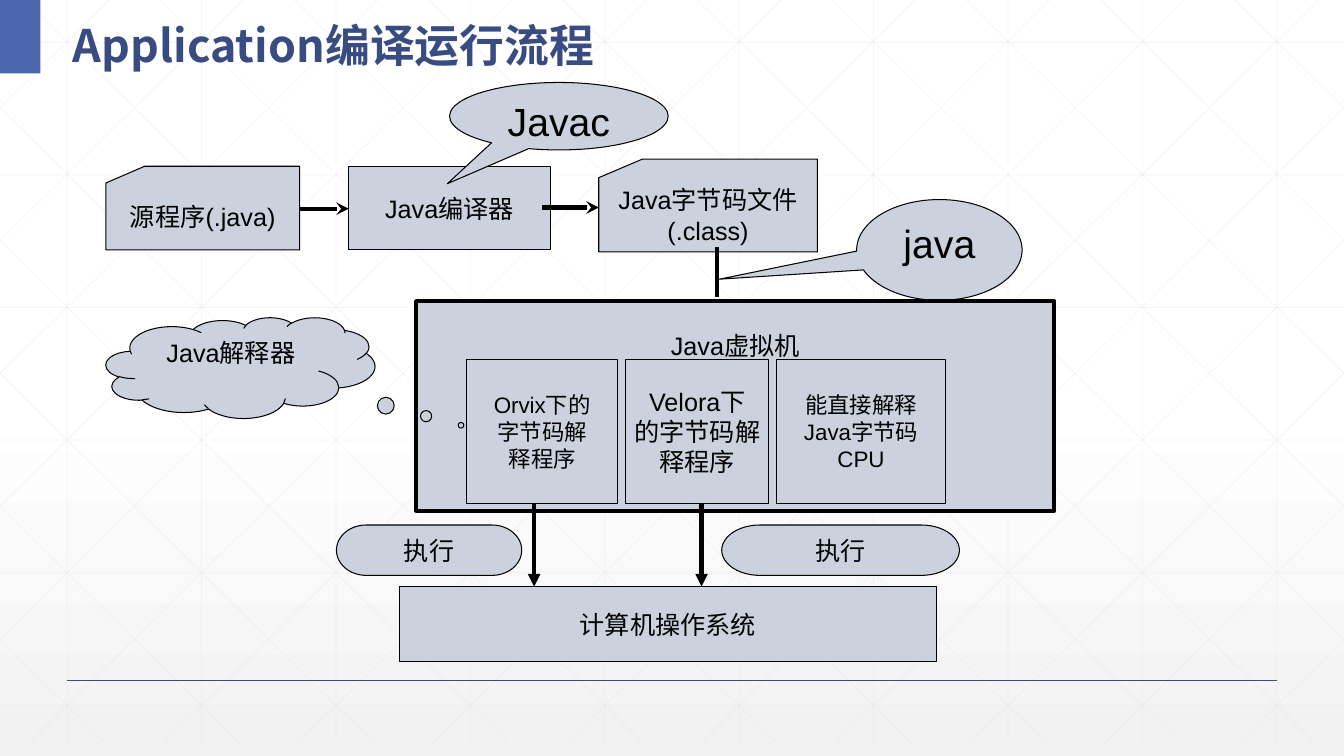
from lxml import etree
from pptx import Presentation
from pptx.dml.color import RGBColor
from pptx.enum.shapes import MSO_CONNECTOR, MSO_SHAPE
from pptx.enum.text import MSO_ANCHOR, PP_ALIGN
from pptx.oxml.ns import qn
from pptx.util import Cm, Pt

STRAIGHT = MSO_CONNECTOR.STRAIGHT
RECT = MSO_SHAPE.RECTANGLE
CARD = MSO_SHAPE.FLOWCHART_CARD
TERMINATOR = MSO_SHAPE.FLOWCHART_TERMINATOR
SPEECH = MSO_SHAPE.OVAL_CALLOUT
CLOUD = MSO_SHAPE.CLOUD_CALLOUT
TOP, MIDDLE = MSO_ANCHOR.TOP, MSO_ANCHOR.MIDDLE
LEFT, CENTER = PP_ALIGN.LEFT, PP_ALIGN.CENTER

WIDTH, HEIGHT = 33.87, 19.05
INK, PANEL, NAVY, ACCENT, GRID = "000000", "CCD2DD", "384C81", "4A66AC", "D9D9D9"
CJK = "Noto Sans CJK SC"


def rgb(value):
    return RGBColor.from_string(value)


def write(tf, text, size, color=INK, font="Arial", bold=False, align=CENTER):
    tf.text = text
    for p in tf.paragraphs:
        p.alignment = align
        for r in p.runs:
            r.font.size, r.font.bold, r.font.name = Pt(size), bold, font
            r.font.color.rgb = rgb(color)
            etree.SubElement(r.font._element, qn("a:ea"), typeface=CJK)


def add_node(s, kind, x, y, w, h, text, size=18, line=0.75, anchor=MIDDLE, wrap=False):
    """Add an outlined flowchart shape with centred text."""
    sp = s.shapes.add_shape(kind, Cm(x), Cm(y), Cm(w), Cm(h))
    sp.shadow.inherit = False
    sp.fill.solid()
    sp.fill.fore_color.rgb = rgb(PANEL)
    sp.line.color.rgb = rgb(INK)
    sp.line.width = Pt(line)
    tf = sp.text_frame
    tf.word_wrap = wrap
    tf.vertical_anchor = anchor
    write(tf, text, size)
    return sp


def add_callout(s, kind, x, y, w, h, text, size, pointer):
    sp = add_node(s, kind, x, y, w, h, text, size, anchor=TOP, wrap=True)
    for i, value in enumerate(pointer):
        sp.adjustments[i] = value


def add_line(s, x1, y1, x2, y2, color=INK, width=3, head=None, alpha=None):
    c = s.shapes.add_connector(STRAIGHT, Cm(x1), Cm(y1), Cm(x2), Cm(y2))
    c.line.color.rgb = rgb(color)
    c.line.width = Pt(width)
    sppr = c._element.spPr
    if alpha:
        etree.SubElement(next(sppr.iter(qn("a:srgbClr"))), qn("a:alpha"), val=str(alpha * 1000))
    if head:
        etree.SubElement(sppr.find(qn("a:ln")), qn("a:tailEnd"), type=head)
    etree.SubElement(sppr, qn("a:effectLst"))


def draw_backdrop(s, w, h):
    """Fill the background and lay a faint square and diagonal grid over it."""
    fill = s.background.fill
    fill.gradient()
    fill.gradient_angle = 270
    for stop, position, color in zip(fill.gradient_stops, (0.53, 1), ("FFFFFF", "F2F2F2")):
        stop.position = position
        stop.color.rgb = rgb(color)

    step, run = w / 10, 18.94
    lines = [((i + 0.5) * step, 0, (i + 0.5) * step, h) for i in range(10)]
    lines += [(0, 1.07 + 3.34 * i, w, 1.07 + 3.34 * i) for i in range(6)]
    slope = h / run
    for i in range(-5, 10):
        start = 0.64 + i * step
        x1, x2 = max(start, 0), min(start + run, w)
        y1, y2 = (x1 - start) * slope, (x2 - start) * slope
        lines += [(x1, y1, x2, y2), (w - x1, y1, w - x2, y2)]
    for ends in lines:
        add_line(s, *ends, color=GRID, width=0.5, alpha=25)


def draw_frame(s, w):
    """Add the title with its corner block and the footer rule."""
    add_line(s, 1.69, 17.15, w - 1.69, 17.15, color=NAVY, width=1)
    block = s.shapes.add_shape(RECT, 0, 0, Cm(1.02), Cm(1.85))
    block.shadow.inherit = False
    block.fill.solid()
    block.fill.fore_color.rgb = rgb(ACCENT)
    block.line.fill.background()
    title = s.shapes.add_textbox(Cm(1.59), 0, Cm(14.45), Cm(1.85))
    tf = title.text_frame
    tf.word_wrap = True
    tf.vertical_anchor = MIDDLE
    write(tf, "Application编译运行流程", 32, NAVY, CJK, True, LEFT)
    tf.paragraphs[0].line_spacing = 1.3


def draw_compilation(s, x, y):
    """Draw the row from source file to bytecode, with its two commands."""
    add_node(s, CARD, x, y + 0.18, 4.88, 2.11, "源程序(.java)")
    add_line(s, x + 4.86, y + 1.25, x + 6.12, y + 1.25, head="stealth")
    add_node(s, RECT, x + 6.12, y + 0.18, 5.08, 2.11, "Java编译器")
    add_line(s, x + 11, y + 1.22, x + 12.42, y + 1.22, head="stealth")
    add_node(s, CARD, x + 12.42, y, 5.51, 2.34, "Java字节码文件\n(.class)")
    add_line(s, x + 15.41, y + 2.21, x + 15.41, y + 3.48)
    add_callout(s, SPEECH, x + 8.66, y - 1.93, 5.51, 1.7, "Javac", 28, (-0.51, 1))
    add_callout(s, SPEECH, x + 18.92, y + 1.02, 4.17, 2.54, "java", 28, (-1.33, 0.29))


def draw_virtual_machine(s, x, y, w, h):
    vm = add_node(s, RECT, x, y, w, h, "Java虚拟机", line=3, anchor=TOP)
    vm.text_frame.margin_top = Cm(0.74)
    left = x + 1.27
    for width, size, text in (
        (3.81, 16, "Orvix下的\n字节码解\n释程序"),
        (3.61, 18, "Velora下\n的字节码解\n释程序"),
        (4.24, 16, "能直接解释\nJava字节码\nCPU"),
    ):
        add_node(s, RECT, left, y + 1.48, width, 3.61, text, size)
        left += width + 0.2
    add_callout(s, CLOUD, x - 7.82, y + 0.41, 6.78, 2.54, "Java解释器", 18, (0.82, 0.57))


def draw_execution(s, x, y):
    """Draw the arrows from the interpreters down to the operating system."""
    for arrow, label, width in ((4.98, 0, 4.67), (9.2, 9.71, 5.99)):
        add_line(s, x + arrow, y, x + arrow, y + 2.11, head="triangle")
        add_node(s, TERMINATOR, x + label, y + 0.56, width, 1.27, "执行")
    add_node(s, RECT, x + 1.58, y + 2.11, 13.54, 1.9, "计算机操作系统")


def main():
    prs = Presentation()
    prs.slide_width, prs.slide_height = Cm(WIDTH), Cm(HEIGHT)
    s = prs.slides.add_slide(prs.slide_layouts[6])
    draw_backdrop(s, WIDTH, 18.72)
    draw_frame(s, WIDTH)
    draw_compilation(s, 2.67, 4.01)
    draw_virtual_machine(s, 10.49, 7.59, 16.08, 5.28)
    draw_execution(s, 8.48, 12.67)
    prs.save("out.pptx")


if __name__ == "__main__":
    main()
